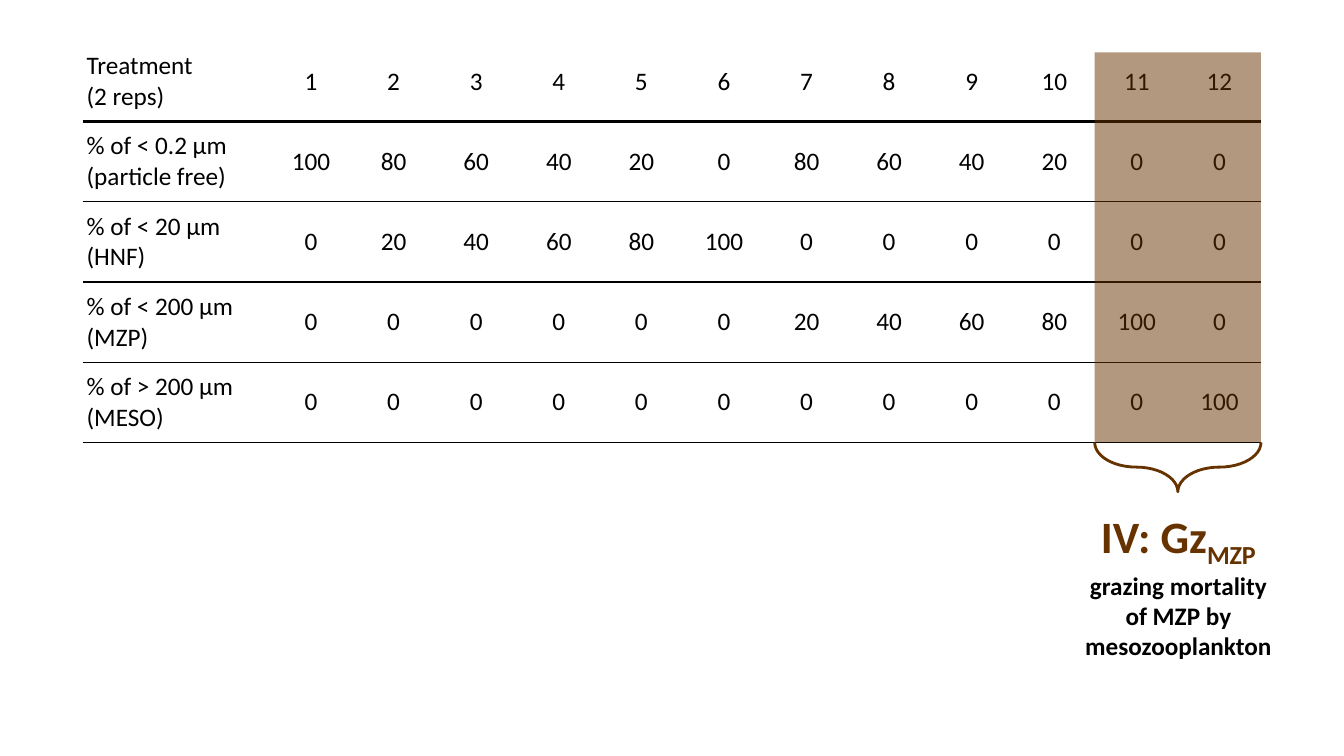
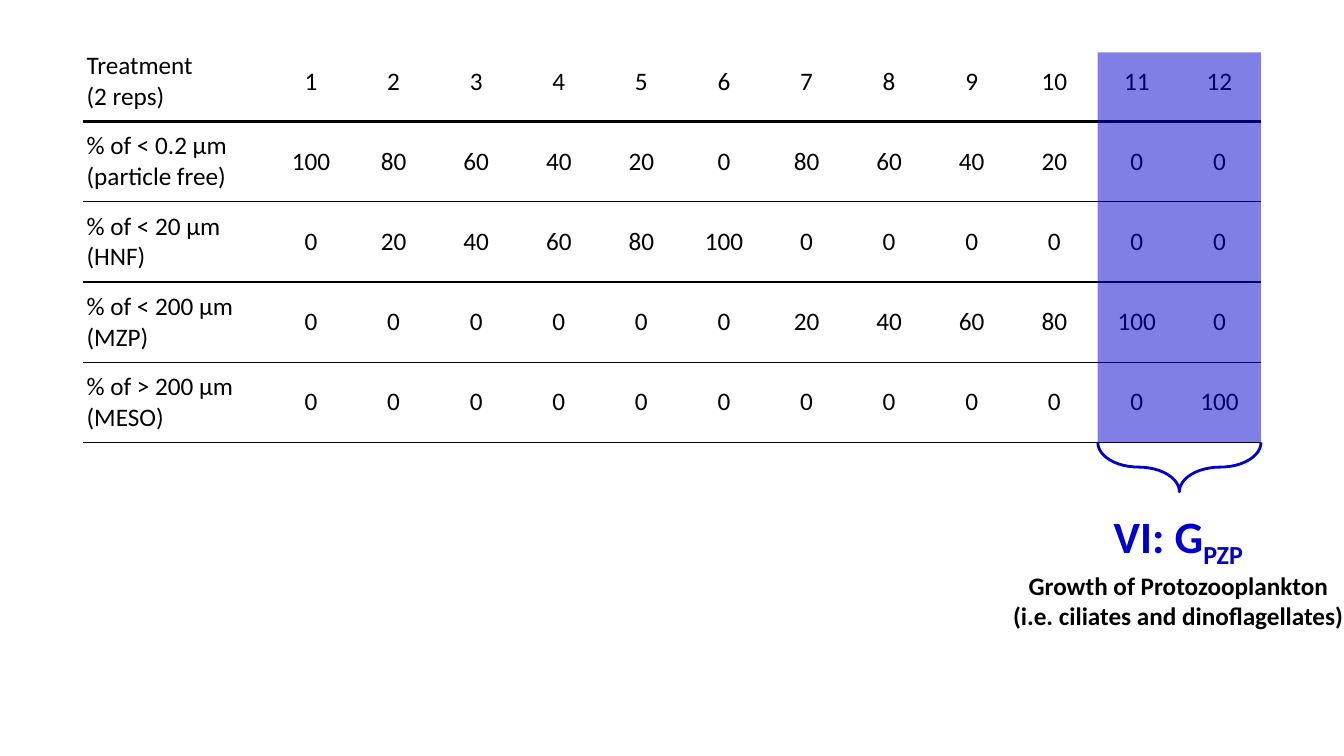
from lxml import etree
from pptx import Presentation
from pptx.dml.color import RGBColor
from pptx.enum import shapes, text
from pptx.oxml import ns
from pptx.util import Pt

BLACK = RGBColor(0x00, 0x00, 0x00)
BROWN = RGBColor(0x66, 0x33, 0x00)
BLUE = RGBColor(0x00, 0x00, 0xCC)
FONT = "Calibri"
NO_STYLE = "{2D5ABB26-0587-4C30-8999-92F81FD0307C}"

# Table grid, in points
LEFT, TOP = 59, 29.5
LABEL_W, COL_W, ROW_H = 133.7, 59, 57.3
RIGHT = LEFT + LABEL_W + 12 * COL_W
BOTTOM = TOP + 5 * ROW_H
BAND_TOP = 37.4
BRACE_H = 35.3

TREATMENTS = [
    ("Treatment\n(2 reps)", range(1, 13)),
    ("% of < 0.2 μm\n(particle free)", [100, 80, 60, 40, 20, 0, 80, 60, 40, 20, 0, 0]),
    ("% of < 20 μm\n(HNF)", [0, 20, 40, 60, 80, 100, 0, 0, 0, 0, 0, 0]),
    ("% of < 200 μm\n(MZP)", [0, 0, 0, 0, 0, 0, 20, 40, 60, 80, 100, 0]),
    ("% of > 200 μm\n(MESO)", [0, 0, 0, 0, 0, 0, 0, 0, 0, 0, 0, 100]),
]
RULES = [3, 1, 1, 1, 1]  # line width below each row


def add_run(p, content, size=18, color=BLACK, bold=False, baseline=0):
    r = p.add_run()
    r.text = content
    f = r.font
    f.name, f.size, f.bold = FONT, Pt(size), bold
    f.color.rgb = color
    if baseline:
        r._r.get_or_add_rPr().set("baseline", str(baseline * 1000))


def add_border(cell, index, side, width):
    ln = etree.Element(ns.qn(f"a:{side}"), w=str(Pt(width)))
    fill = etree.SubElement(ln, ns.qn("a:solidFill"))
    etree.SubElement(fill, ns.qn("a:srgbClr"), val=str(BLACK))
    cell._tc.get_or_add_tcPr().insert(index, ln)


def fill_cell(cell, content, align):
    cell.fill.background()
    cell.vertical_anchor = text.MSO_ANCHOR.MIDDLE
    cell.margin_left = cell.margin_right = Pt(2.9)
    cell.margin_top = cell.margin_bottom = Pt(1.4)
    tf = cell.text_frame
    for i, line in enumerate(content.split("\n")):
        p = tf.add_paragraph() if i else tf.paragraphs[0]
        p.alignment = align
        add_run(p, line)


def add_treatment_table(s):
    frame = s.shapes.add_table(len(TREATMENTS), 13, Pt(LEFT), Pt(TOP),
                               Pt(RIGHT - LEFT), Pt(BOTTOM - TOP))
    table = frame.table
    table.first_row = table.horz_banding = False
    table._tbl.tblPr.find(ns.qn("a:tableStyleId")).text = NO_STYLE
    for c, col in enumerate(table.columns):
        col.width = Pt(COL_W if c else LABEL_W)
    for r, (label, values) in enumerate(TREATMENTS):
        table.rows[r].height = Pt(ROW_H)
        for c, value in enumerate([label, *values]):
            cell = table.cell(r, c)
            align = text.PP_ALIGN.CENTER if c else text.PP_ALIGN.LEFT
            fill_cell(cell, str(value), align)
            add_border(cell, 0, "lnB", RULES[r])
            if r:
                add_border(cell, 0, "lnT", RULES[r - 1])


def add_band(s, width, color):
    """Half-transparent band over the last two treatments."""
    sp = s.shapes.add_shape(shapes.MSO_SHAPE.RECTANGLE, Pt(RIGHT - width),
                            Pt(BAND_TOP), Pt(width), Pt(BOTTOM - BAND_TOP))
    sp.shadow.inherit = False
    sp.line.fill.background()
    sp.fill.solid()
    sp.fill.fore_color.rgb = color
    clr = sp._element.spPr.find(".//" + ns.qn("a:srgbClr"))
    etree.SubElement(clr, ns.qn("a:alpha"), val="50000")


def add_brace(s, width, color):
    """Brace below the band, turned to point down."""
    cx, cy = RIGHT - width / 2, BOTTOM + BRACE_H / 2
    sp = s.shapes.add_shape(shapes.MSO_SHAPE.RIGHT_BRACE, Pt(cx - BRACE_H / 2),
                            Pt(cy - width / 2), Pt(BRACE_H), Pt(width))
    sp.rotation = 90
    sp.adjustments[0] = 1.475
    sp.shadow.inherit = False
    sp.fill.background()
    sp.line.color.rgb = color
    sp.line.width = Pt(2)


def add_caption(s, left, width, height, color, title, sub, lines, wrap=True):
    tf = s.shapes.add_textbox(Pt(left), Pt(360), Pt(width), Pt(height)).text_frame
    tf.word_wrap = wrap
    tf.auto_size = text.MSO_AUTO_SIZE.SHAPE_TO_FIT_TEXT
    p = tf.paragraphs[0]
    p.alignment = text.PP_ALIGN.CENTER
    add_run(p, title, size=32, color=color, bold=True)
    add_run(p, sub, size=32, color=color, bold=True, baseline=-25)
    for line in lines:
        p = tf.add_paragraph()
        p.alignment = text.PP_ALIGN.CENTER
        add_run(p, line, bold=True)


def add_treatment_slide(prs, color, band_w, **caption):
    s = prs.slides.add_slide(prs.slide_layouts[6])
    add_treatment_table(s)
    add_band(s, band_w, color)
    add_brace(s, band_w, color)
    add_caption(s, color=color, **caption)


def main():
    prs = Presentation()
    prs.slide_width, prs.slide_height = Pt(960), Pt(540)

    # Grazing mortality
    add_treatment_slide(prs, BROWN, 118.8, left=766.8, width=149.8, height=111.6,
                        title="IV: Gz", sub="MZP",
                        lines=["grazing mortality of MZP by mesozooplankton"])

    # Protozooplankton growth
    add_treatment_slide(prs, BLUE, 116.6, left=715.7, width=252, height=90,
                        title="VI: G", sub="PZP", wrap=False,
                        lines=["Growth of Protozooplankton",
                               "(i.e. ciliates and dinoflagellates)"])

    prs.save("out.pptx")


main()
